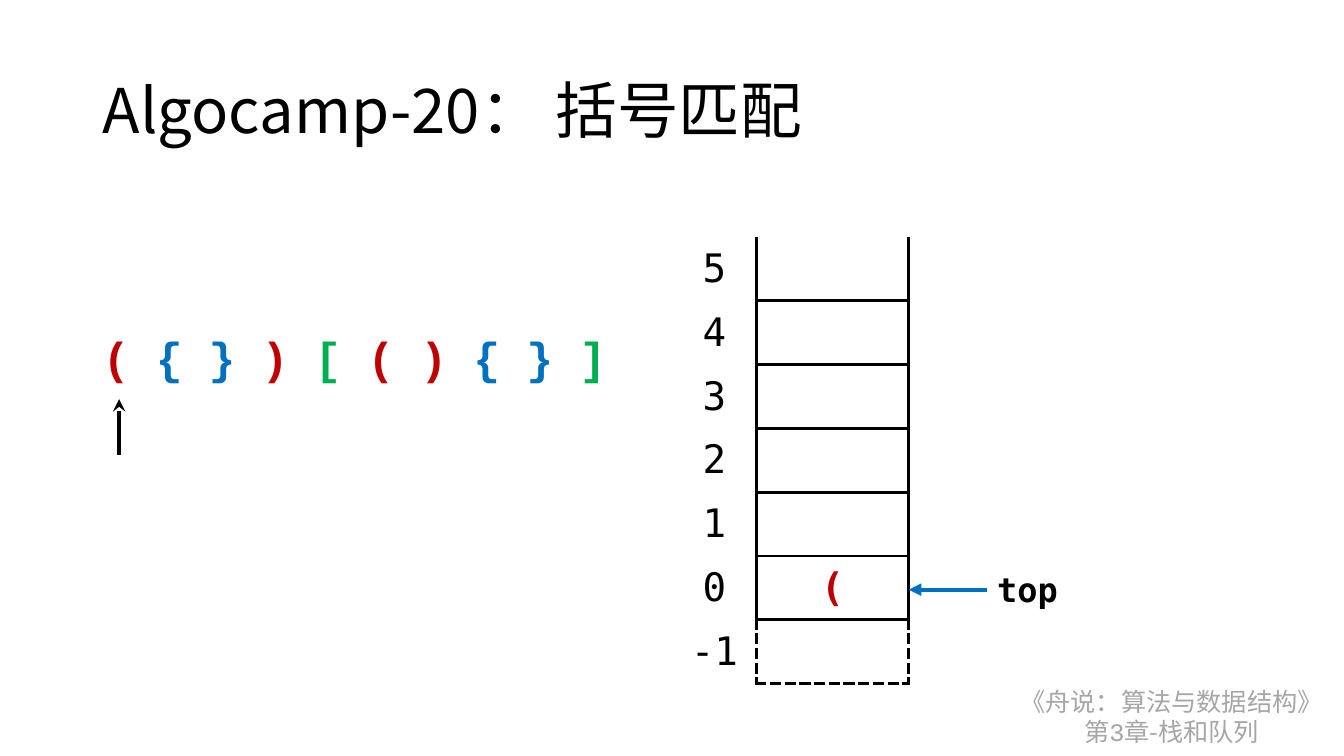
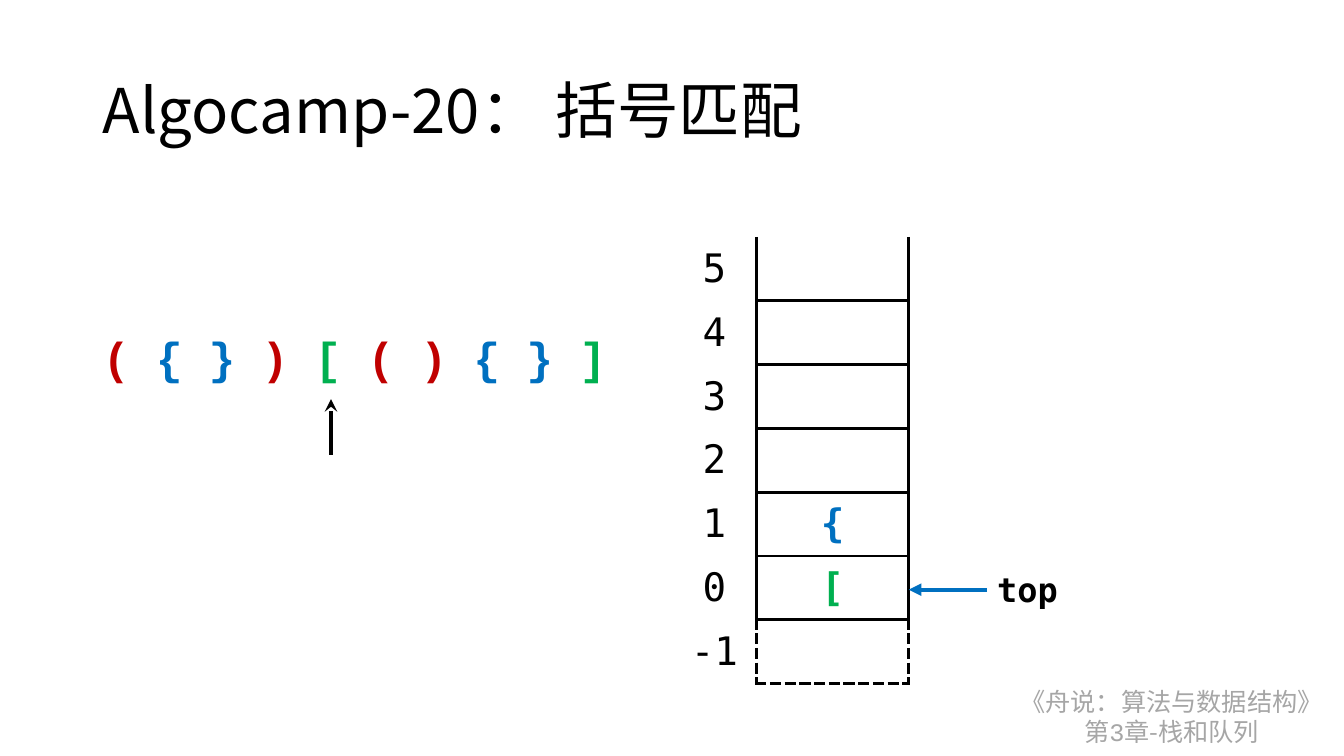
"""Build two slides that trace bracket matching with a stack."""
from lxml import etree
from pptx import Presentation
from pptx.dml.color import RGBColor
from pptx.enum.shapes import MSO_CONNECTOR
from pptx.enum.text import MSO_ANCHOR, MSO_AUTO_SIZE, PP_ALIGN
from pptx.oxml.ns import qn
from pptx.util import Emu, Pt

STRAIGHT = MSO_CONNECTOR.STRAIGHT
MIDDLE = MSO_ANCHOR.MIDDLE
FIT_SHAPE = MSO_AUTO_SIZE.SHAPE_TO_FIT_TEXT
LEFT, CENTER = PP_ALIGN.LEFT, PP_ALIGN.CENTER

BLACK = RGBColor(0x00, 0x00, 0x00)
GRAY = RGBColor(0xA6, 0xA6, 0xA6)
RED = RGBColor(0xC0, 0x00, 0x00)
BLUE = RGBColor(0x00, 0x70, 0xC0)
GREEN = RGBColor(0x00, 0xB0, 0x50)
BRACKET_COLORS = dict(zip("(){}[]", (RED, RED, BLUE, BLUE, GREEN, GREEN)))

SANS = "Noto Sans CJK SC"
MONO = "DejaVu Sans Mono"
COURIER = "Courier New"
PLAIN_TABLE = "{2D5ABB26-0587-4C30-8999-92F81FD0307C}"

UNIT = 121920
MARGIN = 6.9
STACK_LEFT, STACK_TOP, STACK_ROW = 50, 17.63, 4.75
INDEX_WIDTH, SLOT_WIDTH = 6.3, 11.32
BRACKET_TOP, BRACKET_WIDTH, BRACKET_HEIGHT = 24.15, 3.94, 5.63
TOP_LABEL_LEFT, TOP_LEVEL = 73.45, 43.88

TITLE = "Algocamp-20： 括号匹配"
FOOTER = (
    (("《舟说：算法与数据结构》", SANS),),
    (("第", SANS), ("3", COURIER), ("章-栈和队列", SANS)),
)
BRACKETS = "({})[(){}]"
STACK_INDEXES = ("5", "4", "3", "2", "1", "0", "-1")
STEPS = (
    (0, {"0": "("}),
    (4, {"1": "{", "0": "["}),
)


def grid(*counts):
    """Turn hundredths of the slide width into lengths."""
    return [Emu(round(count * UNIT)) for count in counts]


def add_run(paragraph, text, size, font, color, bold=False):
    """Add one formatted run for Latin and East Asian text."""
    run = paragraph.add_run()
    run.text = text
    run.font.size = Pt(size)
    run.font.bold = bold
    run.font.color.rgb = color
    run.font.name = font
    properties = run.font._element
    etree.SubElement(properties, qn("a:ea"), typeface=font)


presentation = Presentation()
presentation.slide_width, presentation.slide_height = grid(100, 56.25)
layout = presentation.slide_layouts[5]
title = layout.placeholders[0]
title.left, title.top, title.width, title.height = grid(MARGIN, 3, 86.25, 10.88)
title.text_frame.vertical_anchor = MIDDLE

for pointer_column, stack in STEPS:
    slide = presentation.slides.add_slide(layout)
    paragraph = slide.shapes.title.text_frame.paragraphs[0]
    paragraph.alignment = LEFT
    paragraph.line_spacing = 0.9
    add_run(paragraph, TITLE, 44, SANS, BLACK)

    stack_frame = slide.shapes.add_table(
        len(STACK_INDEXES), 2,
        *grid(STACK_LEFT, STACK_TOP, INDEX_WIDTH + SLOT_WIDTH, STACK_ROW * len(STACK_INDEXES)))
    bracket_frame = slide.shapes.add_table(
        1, len(BRACKETS),
        *grid(MARGIN, BRACKET_TOP, BRACKET_WIDTH * len(BRACKETS), BRACKET_HEIGHT))
    for frame in (stack_frame, bracket_frame):
        table = frame.table
        table.first_row = table.horz_banding = False
        next(frame.element.iter(qn("a:tableStyleId"))).text = PLAIN_TABLE
        for cell in table.iter_cells():
            cell.fill.background()
            cell.vertical_anchor = MIDDLE

    table = stack_frame.table
    table.columns[0].width, table.columns[1].width = grid(INDEX_WIDTH, SLOT_WIDTH)
    last_row = len(STACK_INDEXES) - 1
    for row, index in enumerate(STACK_INDEXES):
        index_cell, slot_cell = table.cell(row, 0), table.cell(row, 1)
        paragraph = index_cell.text_frame.paragraphs[0]
        paragraph.alignment = CENTER
        add_run(paragraph, index, 28, MONO, BLACK)
        if index in stack:
            paragraph = slot_cell.text_frame.paragraphs[0]
            paragraph.alignment = CENTER
            add_run(paragraph, stack[index], 28, MONO, BRACKET_COLORS[stack[index]], True)
        slot_sides = "LRB" if row == 0 else "LRTB"
        for cell, sides in ((index_cell, "R"), (slot_cell, slot_sides)):
            properties = cell._tc.get_or_add_tcPr()
            for position, side in enumerate(sides):
                border = etree.Element(qn(f"a:ln{side}"), w=str(Pt(2.25)))
                fill = etree.SubElement(border, qn("a:solidFill"))
                etree.SubElement(fill, qn("a:srgbClr"), val=str(BLACK))
                dash = "sysDash" if row == last_row and side != "T" else "solid"
                etree.SubElement(border, qn("a:prstDash"), val=dash)
                properties.insert(position, border)

    table = bracket_frame.table
    for column, bracket in enumerate(BRACKETS):
        table.columns[column].width = grid(BRACKET_WIDTH)[0]
        paragraph = table.cell(0, column).text_frame.paragraphs[0]
        add_run(paragraph, bracket, 32, COURIER, BRACKET_COLORS[bracket], True)

    pointer = MARGIN + BRACKET_WIDTH * (pointer_column + 0.5)
    stack_right = STACK_LEFT + INDEX_WIDTH + SLOT_WIDTH
    for ends, color, head in (
        ((TOP_LABEL_LEFT, TOP_LEVEL, stack_right, TOP_LEVEL), BLUE, "triangle"),
        ((pointer, 33.83, pointer, 29.7), BLACK, "stealth"),
    ):
        arrow = slide.shapes.add_connector(STRAIGHT, *grid(*ends))
        arrow.line.color.rgb = color
        arrow.line.width = Pt(3)
        etree.SubElement(arrow.line._get_or_add_ln(), qn("a:tailEnd"), type=head)
        etree.SubElement(arrow.element.spPr, qn("a:effectLst"))

    top_label = slide.shapes.add_textbox(*grid(TOP_LABEL_LEFT, TOP_LEVEL - 1.9, 6.08, 3.75))
    top_label.text_frame.word_wrap = False
    top_label.text_frame.auto_size = FIT_SHAPE
    add_run(top_label.text_frame.paragraphs[0], "top", 24, MONO, BLACK, True)

footer = slide.shapes.add_textbox(*grid(74.8, 50.7, 24.75, 5.33))
footer.text_frame.word_wrap = False
footer.text_frame.auto_size = FIT_SHAPE
footer.text_frame.add_paragraph()
for paragraph, runs in zip(footer.text_frame.paragraphs, FOOTER):
    paragraph.alignment = CENTER
    for text, font in runs:
        add_run(paragraph, text, 18, font, GRAY)
layout.shapes.element.append(footer.element)

presentation.save("out.pptx")
